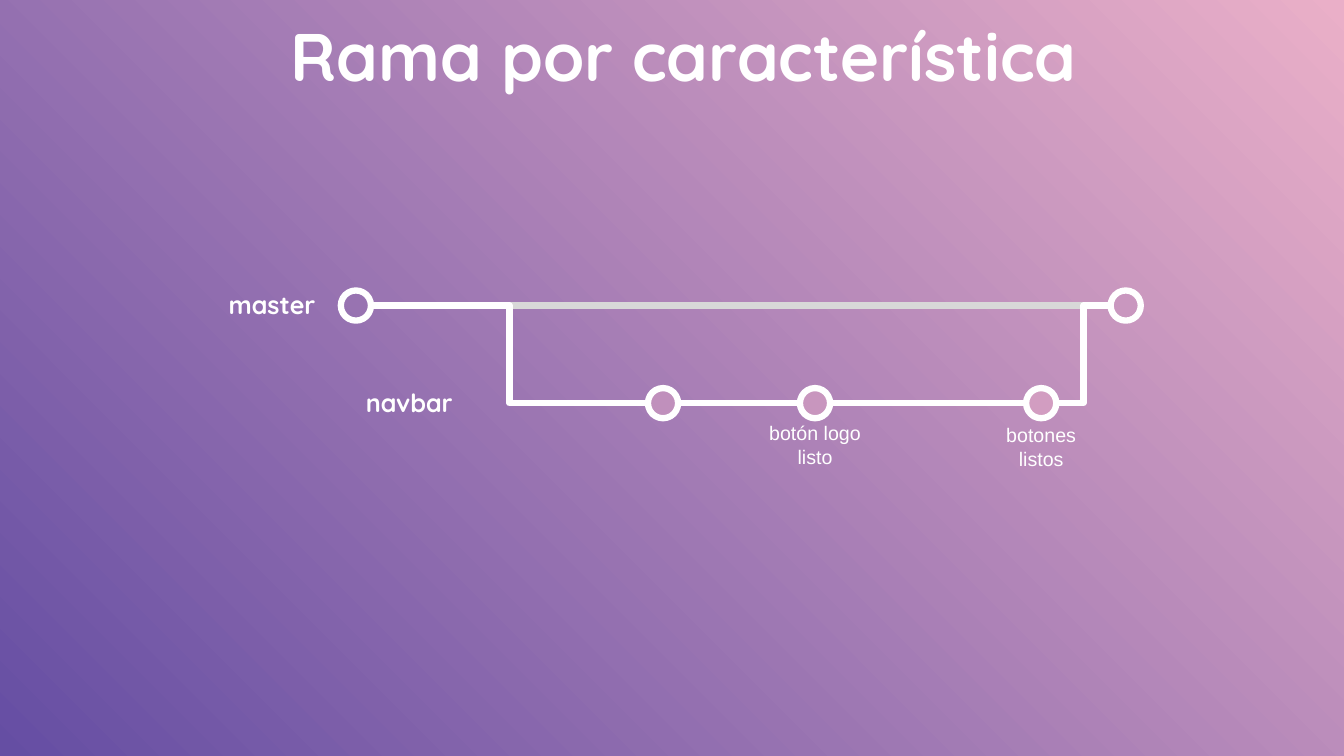
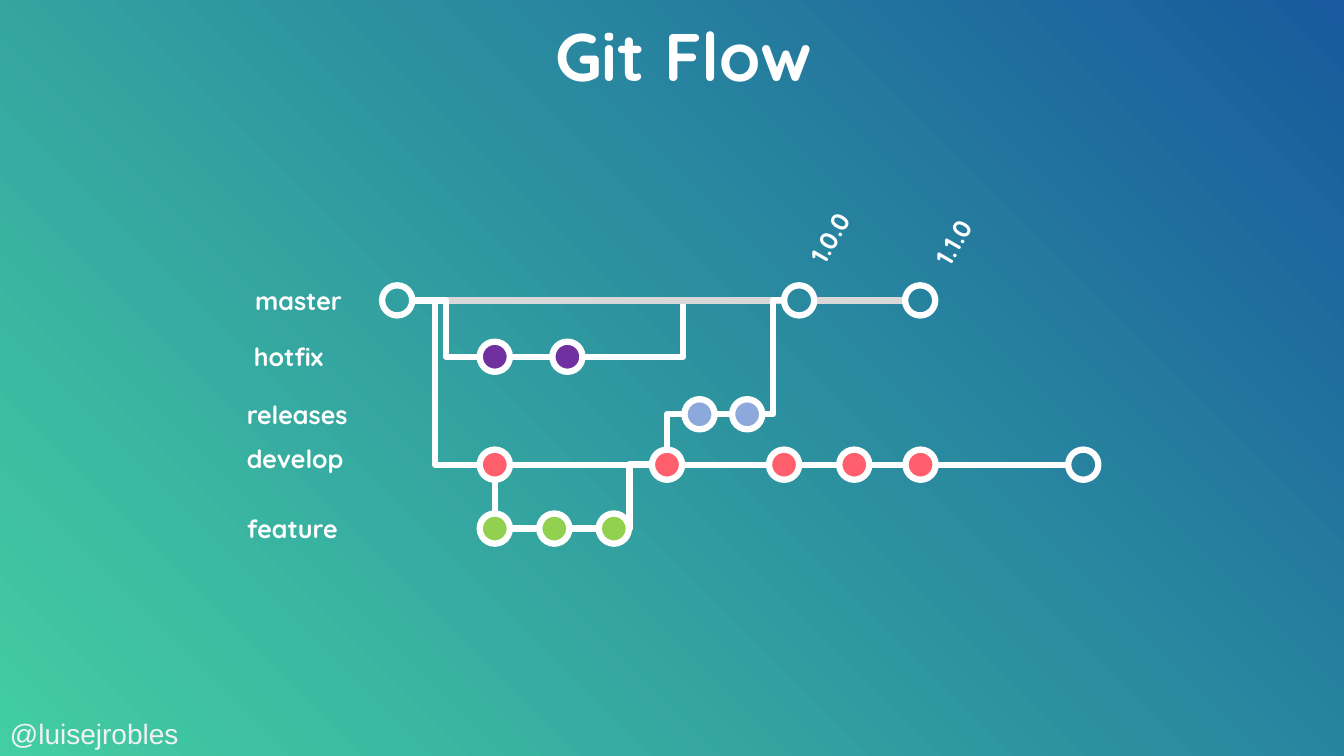
from lxml.etree import SubElement as Sub
from pptx import Presentation
from pptx.dml.color import RGBColor as Rgb
from pptx.enum.shapes import MSO_CONNECTOR as Conn, MSO_SHAPE as Form
from pptx.enum.text import MSO_ANCHOR as Anchor, MSO_AUTO_SIZE as Auto, PP_ALIGN as Align
from pptx.oxml.ns import qn
from pptx.util import Cm, Pt

HUES = {
    "white": "FFFFFF", "pale": "F2F2F2", "grey": "D8D8D8",
    "violet": "654EA3", "pink": "EAAFC8", "mint": "43CEA2", "blue": "185A9D",
    "mauve": "C090BC", "rose": "C896BE", "blush": "D29DC1",
    "red": "FF5F6D", "green": "92D050", "sky": "8DA9DB", "purple": "7030A0",
}
HEAD, BODY = "Quicksand", "Arial"
SIZE = 0.76
HALF = SIZE / 2
WIDTH = 4.5


def hue(name):
    return Rgb.from_string(HUES[name])


def style(frame, lines, size, face=HEAD, bold=True, align=Align.LEFT, tint="white"):
    frame.word_wrap = True
    frame.auto_size = Auto.NONE
    frame.text = "\n".join(lines)
    for para in frame.paragraphs:
        para.alignment = align
        font = para.font
        font.name, font.size, font.bold = face, Pt(size), bold
        font.color.rgb = hue(tint)


def start(deck, title, low, high):
    slide = deck.slides.add_slide(deck.slide_layouts[5])
    fill = slide.background.fill
    fill.gradient()
    fill.gradient_angle = 45
    for stop, name, place in zip(fill.gradient_stops, (low, high), (0, 1)):
        stop.color.rgb = hue(name)
        stop.position = place
    head = slide.shapes.title
    head.left, head.top, head.width, head.height = Cm(1.52), Cm(0.23), Cm(31.42), Cm(1.95)
    style(head.text_frame, [title], 48, align=Align.CENTER)
    head.text_frame.vertical_anchor = Anchor.TOP
    return slide


class Graph:
    def __init__(self, slide, left, top):
        self.shapes = slide.shapes
        self.left, self.top = left, top

    def spot(self, x, y):
        return Cm(self.left + x), Cm(self.top + y)

    def text(self, x, y, wide, high, lines, size=18, **look):
        box = self.shapes.add_textbox(*self.spot(x, y), Cm(wide), Cm(high))
        style(box.text_frame, lines, size, **look)
        return box

    def lane(self, x, y, name):
        frame = self.text(x, y - 0.51, 3.15, 1.02, [name]).text_frame
        frame.margin_left = 0
        frame.vertical_anchor = Anchor.MIDDLE

    def tag(self, x, y, wide, name):
        self.text(x, y, wide, 0.69, [name]).rotation = 300

    def dot(self, x, y, tint=None):
        dot = self.shapes.add_shape(Form.OVAL, *self.spot(x - HALF, y - HALF), Cm(SIZE), Cm(SIZE))
        dot.shadow.inherit = False
        if tint:
            dot.fill.solid()
            dot.fill.fore_color.rgb = hue(tint)
        else:
            dot.fill.background()
        dot.line.color.rgb = hue("white")
        dot.line.width = Pt(WIDTH)

    def wire(self, x, y, to_x, to_y, tint="white", bend=0.5):
        kind = Conn.STRAIGHT if x == to_x or y == to_y else Conn.ELBOW
        wire = self.shapes.add_connector(kind, *self.spot(x, y), *self.spot(to_x, to_y))
        wire.line.color.rgb = hue(tint)
        wire.line.width = Pt(WIDTH)
        props = wire._element.spPr
        Sub(props, qn("a:effectLst"))
        if kind == Conn.ELBOW:
            guides = props.find(qn("a:prstGeom")).find(qn("a:avLst"))
            Sub(guides, qn("a:gd"), name="adj1", fmla=f"val {round(bend * 100000)}")

    def link(self, x, y, to_x, to_y, **look):
        self.wire(x + HALF, y, to_x - HALF, to_y, **look)

    def chain(self, spots, y):
        for x, to_x in zip(spots, spots[1:]):
            self.link(x, y, to_x, y)

    def dots(self, spots, y, tint):
        for x in spots:
            self.dot(x, y, tint)


def branch(slide, left, top):
    graph = Graph(slide, left, top)
    main, side = 0.7, 3.16
    first, last = 3.97, 23.37
    steps = [11.71, 15.54, 21.24]
    graph.link(first, main, last, main, tint="grey")
    graph.link(first, main, steps[0], side)
    graph.chain(steps, side)
    graph.link(steps[-1], side, last, main)
    graph.dots([first, last], main, None)
    for x, tint in zip(steps, ("mauve", "rose", "blush")):
        graph.dot(x, side, tint)
    for x, y, name in ((0.13, main, "master"), (3.59, side, "navbar")):
        graph.text(x, y - 0.53, 3.45, 1.02, [name], align=Align.CENTER)
    for x, gap, lines in ((steps[1], 0.33, ["botón logo", "listo"]),
                          (steps[2], 0.38, ["botones", "listos"])):
        graph.text(x - 1.73, side + gap, 3.46, 1.45, lines, 14,
                   face=BODY, bold=False, align=Align.CENTER)


def flow(slide, left, top):
    graph = Graph(slide, left, top)
    main, fix, ship, dev, feat = 2.57, 3.99, 5.44, 6.71, 8.32
    mains = [4.01, 14.14, 17.19]
    fixes = [6.47, 8.3]
    ships = [11.63, 12.83]
    devs = [6.47, 10.81, 13.76, 15.53, 17.2]
    feats = [6.47 + 1.5 * step for step in range(3)]
    end = 21.3

    graph.link(fixes[-1], fix, mains[1], main)
    for x, to_x in zip(mains, mains[1:]):
        graph.link(x, main, to_x, main, tint="grey")
    graph.link(mains[0], main, devs[0], dev, bend=0.34)
    graph.link(mains[0], main, fixes[0], fix)
    graph.link(ships[-1], ship, mains[1], main)
    graph.link(feats[-1], feat, devs[1], dev, bend=0.03)
    graph.wire(feats[0], feat - HALF, devs[0], dev + HALF)
    graph.wire(ships[0] - HALF, ship, devs[1], dev - HALF, bend=1)
    for spots, y in ((fixes, fix), (ships, ship), (devs + [end], dev), (feats, feat)):
        graph.chain(spots, y)

    for spots, y, tint in ((mains, main, None), (fixes, fix, "purple"), (ships, ship, "sky"),
                           (devs, dev, "red"), ([end], dev, None), (feats, feat, "green")):
        graph.dots(spots, y, tint)
    for x, y, name in ((0.43, main, "master"), (0.4, fix, "hotfix"), (0.22, ship, "releases"),
                       (0.22, dev - 0.15, "develop"), (0.22, feat, "feature")):
        graph.lane(x, y, name)
    graph.tag(13.66, 0.23, 2.59, "1.0.0")
    graph.tag(16.91, 0.44, 2.21, "1.1.0")


def main():
    deck = Presentation()
    deck.slide_width, deck.slide_height = Cm(33.87), Cm(19.05)
    branch(start(deck, "Rama por característica", "violet", "pink"), 5, 7)
    slide = start(deck, "Git Flow", "mint", "blue")
    flow(slide, 6, 5)
    Graph(slide, 0, 17.93).text(0, 0, 5.33, 1.12, ["@luisejrobles"], 20,
                                face=BODY, bold=False, tint="pale")
    deck.save("out.pptx")


if __name__ == "__main__":
    main()
